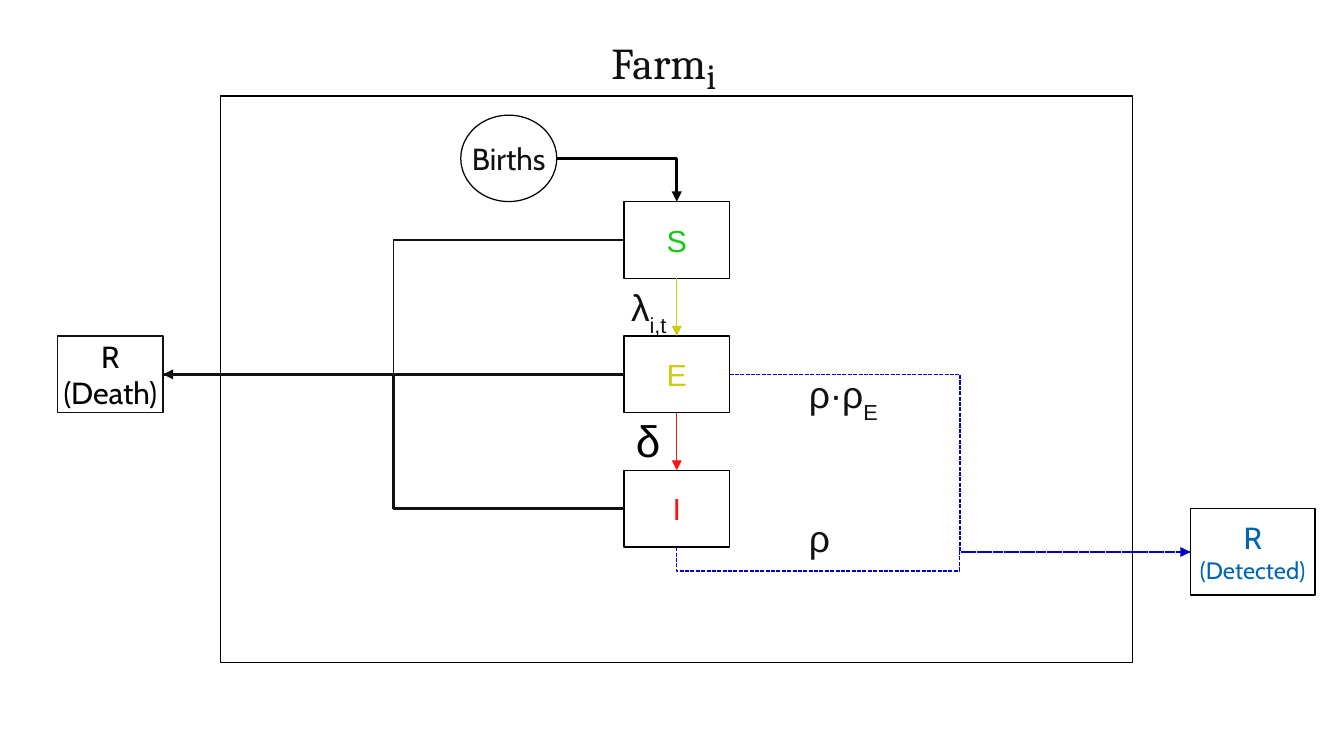
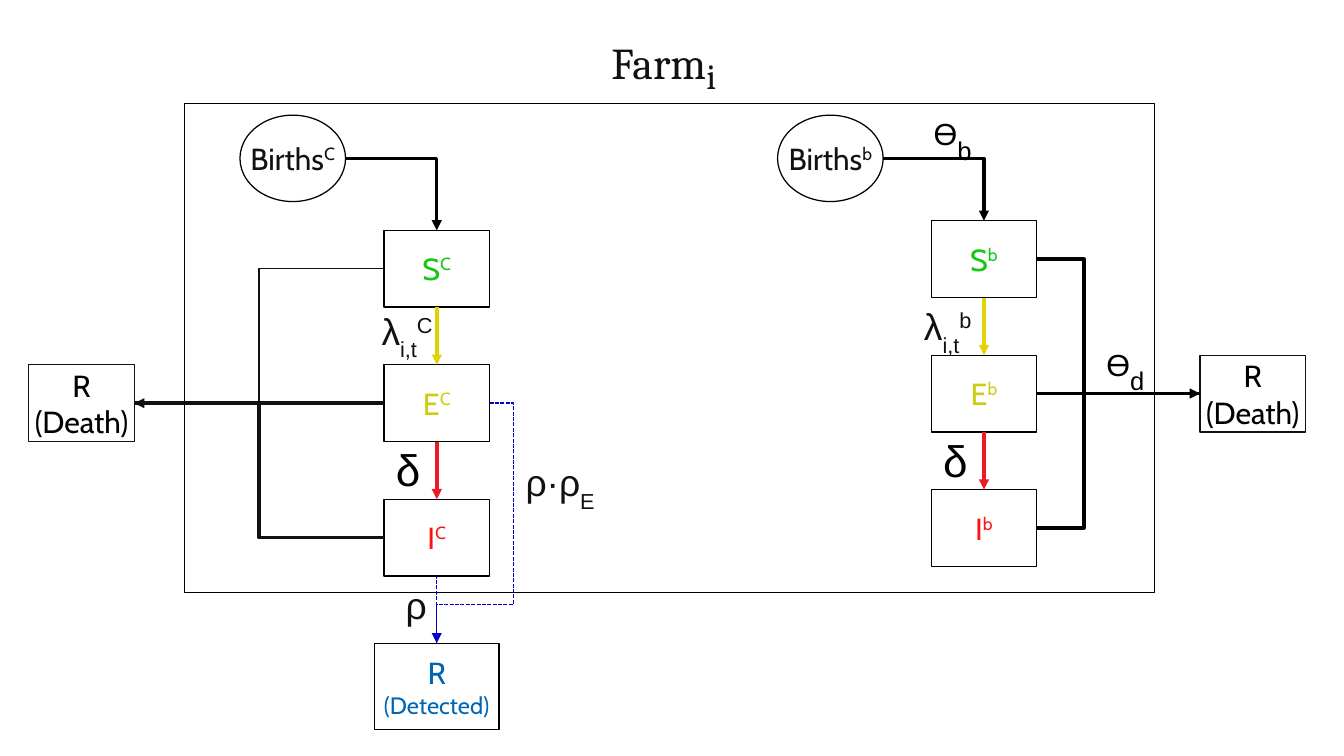
from pptx import Presentation, util as u
from pptx.dml.color import RGBColor
from pptx.enum import dml, shapes, text
from pptx.oxml.ns import qn
from lxml import etree

Cm, Pt = u.Cm, u.Pt
BLACK, INK, WHITE = "000000", "111111", "FFFFFF"
GREEN, OLIVE, RED = "14C814", "CCCC14", "FA1414"
YELLOW, ROSE = "E3D200", "ED1C24"
BLUE, NAVY = "0066B3", "0000C8"
W, H, STEP = 2.2, 1.6, 2.8  # state box and the pitch between states


def rgb(code):
    return RGBColor.from_string(code)


# ---- basic parts ----
def write(frame, paras, font, color, align=None):
    """Each paragraph is a list of runs: (words, size, baseline in %)."""
    for i, runs in enumerate(paras):
        para = frame.paragraphs[0] if i == 0 else frame.add_paragraph()
        para.alignment = align
        for words, size, base in runs:
            run = para.add_run()
            run.text = words
            run.font.name, run.font.size = font, Pt(size)
            run.font.color.rgb = rgb(color)
            if base:
                run.font._element.set("baseline", str(base * 1000))


def shape(slide, box, paras=(), font="Cabin", color=INK, edge=BLACK, kind="RECTANGLE"):
    item = slide.shapes.add_shape(
        getattr(shapes.MSO_SHAPE, kind), *[Cm(v) for v in box])
    item.shadow.inherit = False
    item.fill.solid()
    item.fill.fore_color.rgb = rgb(WHITE)
    item.line.color.rgb = rgb(edge)
    item.line.width = Pt(0)
    frame = item.text_frame
    frame.word_wrap = False
    frame.vertical_anchor = text.MSO_ANCHOR.MIDDLE
    write(frame, paras, font, color, text.PP_ALIGN.CENTER)


def label(slide, box, runs, color=INK):
    frame = slide.shapes.add_textbox(*[Cm(v) for v in box]).text_frame
    frame.word_wrap = True
    write(frame, [runs], "Arial", color)


def link(slide, start, end, color, width=0, arrow=True, dash=False, bends=1, adj=()):
    """bends: 1 is straight, 2 to 4 count the legs of an elbow."""
    kind = shapes.MSO_CONNECTOR.STRAIGHT if bends == 1 else shapes.MSO_CONNECTOR.ELBOW
    line = slide.shapes.add_connector(kind, *[Cm(v) for v in (*start, *end)])
    line.line.color.rgb = rgb(color)
    line.line.width = Pt(width)
    if dash:
        line.line.dash_style = dml.MSO_LINE.SQUARE_DOT
    props = line._element.spPr
    if arrow:
        etree.SubElement(props.find(qn("a:ln")), qn("a:tailEnd"), type="triangle")
    etree.SubElement(props, qn("a:effectLst"))
    if bends > 1:
        geom = props.find(qn("a:prstGeom"))
        geom.set("prst", f"bentConnector{bends}")
        for i, part in enumerate(adj, 1):
            etree.SubElement(geom.find(qn("a:avLst")), qn("a:gd"), name=f"adj{i}",
                             fmla=f"val {round(part * 100000)}")
    return line


def upturn(line, start, end):
    """Turn an elbow so that its first leg runs down."""
    wide, high = end[0] - start[0], end[1] - start[1]
    line.left = Cm((start[0] + end[0] - high) / 2)
    line.top = Cm((start[1] + end[1] - wide) / 2)
    line.width, line.height = Cm(high), Cm(wide)
    form = line._element.spPr.find(qn("a:xfrm"))
    form.set("rot", str(270 * 60000))
    form.set("flipH", "1")


# ---- regions ----
def farm(slide, box):
    shape(slide, box)
    shape(slide, (11.83, 0.6, 4, 1.2), [[("Farm", 26, 0), ("i", 36, -17)]],
          "Cambria", edge=WHITE)


def chain(slide, x, y, mark, font, tints, width, rate):
    """States S, E, I from the top left corner; rate is the box of λ, relative."""
    mid = x + W / 2
    for i, (name, color) in enumerate(zip("SEI", (GREEN, OLIVE, RED))):
        runs = [(name, 18, 0)] + ([(mark, 18, 33)] if mark else [])
        shape(slide, (x, y + i * STEP, W, H), [runs], font, color)
    for i, tint in enumerate(tints):
        top = y + i * STEP + H
        link(slide, (mid, top), (mid, top + STEP - H), tint, width)
    dx, dy, wide, high = rate
    runs = [("λ", 22, 0), ("i,t", 22, -33)] + ([(mark, 22, 33)] if mark else [])
    label(slide, (x + dx, y + dy, wide, high), runs)
    label(slide, (x, y + 4.3, 1, 1.73), [("δ", 26, 0)], BLACK)


def births(slide, x, wide, mark, goal):
    runs = [("Births", 18, 0)] + ([(mark, 18, 33)] if mark else [])
    shape(slide, (x, 2.4, wide, 1.8), [runs], kind="OVAL")
    link(slide, (x + wide, 3.3), (goal[0] + W / 2, goal[1]), BLACK, bends=2)


def death(slide, x, goal, color, width, turn=0.5):
    """The box of the dead, level with E, and its links from all states."""
    left, top = goal
    row = top + STEP
    shape(slide, (x, row, W, H), [[("R", 18, 0)], [("(Death)", 18, 0)]],
          color=BLACK, edge=INK)
    start, end = (left, x + W) if x < left else (left + W, x)
    mid = row + H / 2
    link(slide, (start, mid - STEP), (end, mid), color, width, bends=3, adj=[turn])
    link(slide, (start, mid), (end, mid), color, arrow=False)
    link(slide, (start, mid + STEP), (end, mid), color, arrow=False, bends=3, adj=[turn])


def found(slide, x, y):
    shape(slide, (x, y, 2.6, 1.8), [[("R", 18, 0)], [("(Detected)", 14, 0)]], color=BLUE)


def rates(slide, one, both):
    label(slide, (*one, 1.2, 1.52), [("ρ", 22, 0)])
    label(slide, (*both, 2.4, 1.75), [("ρ·ρ", 22, 0), ("E", 22, -33)])


# ---- slides ----
def single(slide):
    x, y = goal = 13, 4.2
    farm(slide, (4.6, 2, 19, 11.8))
    chain(slide, x, y, "", "Arial", (OLIVE, RED), 0.79, (-0.1, 1.6, 1.32, 2.36))
    found(slide, 24.8, 10.6)
    end = 24.8, 11.5
    link(slide, (x + W, y + STEP + H / 2), end, NAVY, 0.79, dash=True, bends=3, adj=[0.5])
    start = x + W / 2, y + 2 * STEP + H
    line = link(slide, start, end, NAVY, 0.79, False, True, 4, [5, 0.55])
    upturn(line, start, end)
    rates(slide, (16.6, 10.6), (16.6, 7.6))
    births(slide, 9.6, 2, "", goal)
    death(slide, 1.2, goal, INK, 0.79)


def double(slide):
    farm(slide, (3.85, 2.15, 20.2, 10.2))
    # left chain, with detection below
    x, y = goal = 8, 4.8
    tints = YELLOW, ROSE
    chain(slide, x, y, "C", "Cabin", tints, 0, (-0.3, 1.5, 1.6, 2.54))
    found(slide, 7.8, 13.4)
    mid, end = x + W / 2, (x + W / 2, 13.4)
    link(slide, (x + W, y + STEP + H / 2), end, NAVY, 0.79, dash=True,
         bends=4, adj=[-0.45, 0.84])
    link(slide, end, (mid, y + 2 * STEP + H), NAVY, 0.79, False, True)
    rates(slide, (8.2, 12), (10.7, 9.45))
    births(slide, 5, 2.2, "C", goal)
    death(slide, 0.6, goal, INK, 0.79)
    # right chain
    goal = 19.4, 4.6
    chain(slide, *goal, "b", "Cabin", tints, 0, (-0.4, 1.6, 1.6, 1.75))
    births(slide, 16.2, 2.2, "b", goal)
    death(slide, 25, goal, BLACK, 0, 0.29)
    for left, top, mark in ((19.2, 2, "b"), (22.8, 6.8, "d")):
        label(slide, (left, top, 1.6, 2), [("ϴ", 18, 0), (mark, 26, -33)], BLACK)


def main():
    deck = Presentation()
    deck.slide_width, deck.slide_height = Cm(28), Cm(15.75)
    for draw in (single, double):
        draw(deck.slides.add_slide(deck.slide_layouts[6]))
    deck.save("out.pptx")


if __name__ == "__main__":
    main()
